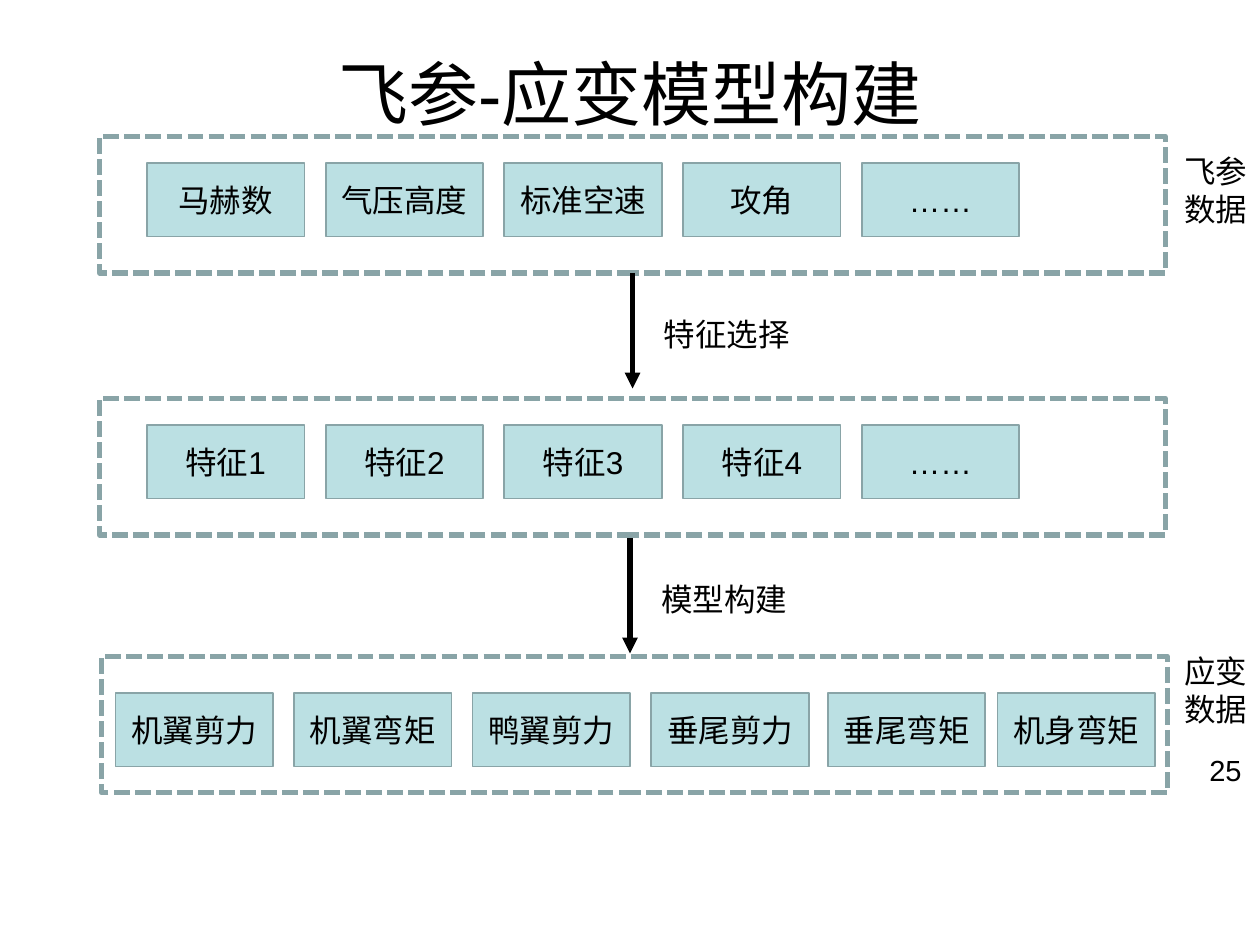
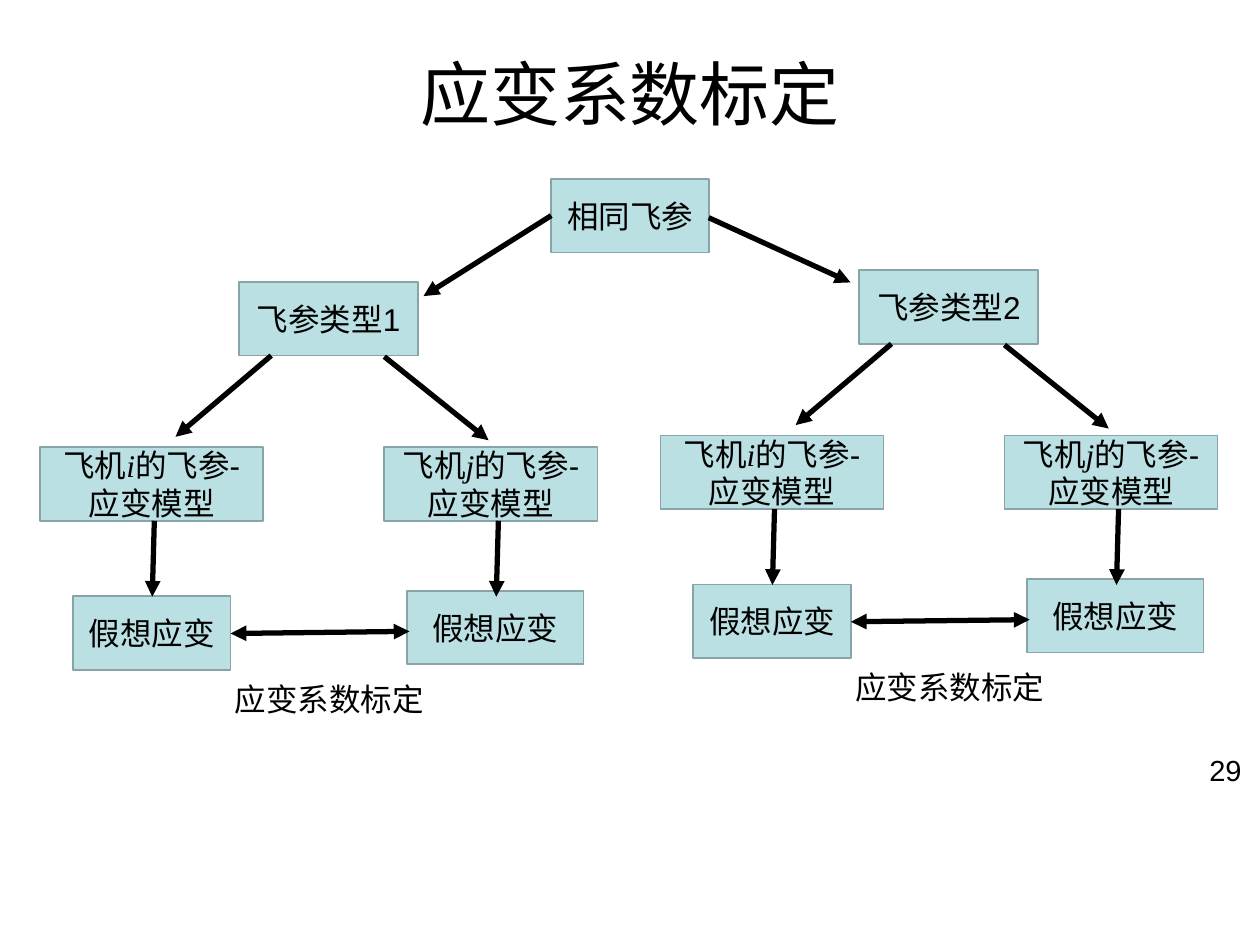
import pptx
import pptx.dml.color
import pptx.enum.dml
import pptx.enum.shapes
import pptx.enum.text
import pptx.oxml.ns
import pptx.util
from lxml import etree

Pt = pptx.util.Pt
RGBColor = pptx.dml.color.RGBColor
ALIGN = pptx.enum.text.PP_ALIGN
ANCHOR = pptx.enum.text.MSO_ANCHOR

# Shared style
BLACK = RGBColor(0x00, 0x00, 0x00)
BOX_FILL = RGBColor(0xBB, 0xE0, 0xE3)
BOX_LINE = RGBColor(0x89, 0xA4, 0xA7)
FONT = "Arial"
VARIABLE_FONT = "Times New Roman"
BOX_WIDTH, BOX_HEIGHT = 90, 42
FRAME_WIDTH, FRAME_HEIGHT = 609, 78


def add_run(paragraph, text, size=18, font=FONT, italic=False):
    run = paragraph.add_run()
    run.text = text
    run.font.size = Pt(size)
    run.font.name = font
    run.font.italic = italic
    run.font.color.rgb = BLACK


def add_titled_slide(presentation, title, number):
    slide = presentation.slides.add_slide(presentation.slide_layouts[5])
    shape = slide.shapes.title
    shape.left, shape.top, shape.width, shape.height = Pt(36), Pt(21.6), Pt(648), Pt(62.6)
    shape.text_frame.vertical_anchor = ANCHOR.MIDDLE
    paragraph = shape.text_frame.paragraphs[0]
    paragraph.alignment = ALIGN.CENTER
    add_run(paragraph, title, 40)
    add_label(slide, number, 684, 426.2, 36, 16.6)
    return slide


def add_label(slide, text, left, top, width, size=18, height=28.8):
    label = slide.shapes.add_textbox(Pt(left), Pt(top), Pt(width), Pt(height))
    label.text_frame.word_wrap = True
    add_run(label.text_frame.paragraphs[0], text, size)


def add_rectangle(slide, left, top, width, height, line_width):
    shape = slide.shapes.add_shape(
        pptx.enum.shapes.MSO_SHAPE.RECTANGLE, Pt(left), Pt(top), Pt(width), Pt(height))
    shape.shadow.inherit = False
    shape.line.color.rgb = BOX_LINE
    shape.line.width = Pt(line_width)
    return shape


def add_box(slide, text, left, top, width=BOX_WIDTH, variable="", ending=""):
    """Filled box; an italic variable and an ending may follow the text."""
    shape = add_rectangle(slide, left, top, width, BOX_HEIGHT, 1)
    shape.fill.solid()
    shape.fill.fore_color.rgb = BOX_FILL
    frame = shape.text_frame
    frame.word_wrap = True
    frame.vertical_anchor = ANCHOR.MIDDLE
    paragraph = frame.paragraphs[0]
    paragraph.alignment = ALIGN.CENTER
    add_run(paragraph, text)
    if variable:
        add_run(paragraph, variable, font=VARIABLE_FONT, italic=True)
        add_run(paragraph, ending)


def add_dashed_frame(slide, left, top):
    shape = add_rectangle(slide, left, top, FRAME_WIDTH, FRAME_HEIGHT, 3)
    shape.fill.background()
    shape.line.dash_style = pptx.enum.dml.MSO_LINE.SQUARE_DOT


def add_arrow(slide, start_x, start_y, end_x, end_y, double=False):
    arrow = slide.shapes.add_connector(
        pptx.enum.shapes.MSO_CONNECTOR.STRAIGHT,
        Pt(start_x), Pt(start_y), Pt(end_x), Pt(end_y))
    arrow.line.color.rgb = BLACK
    arrow.line.width = Pt(3)
    line = arrow.line._get_or_add_ln()
    for end in ("a:headEnd", "a:tailEnd") if double else ("a:tailEnd",):
        etree.SubElement(line, pptx.oxml.ns.qn(end), type="triangle")
    etree.SubElement(arrow._element.spPr, pptx.oxml.ns.qn("a:effectLst"))


def add_box_row(slide, texts, lefts, top):
    for text, left in zip(texts, lefts):
        add_box(slide, text, left, top)


def add_calibration_tree(slide, number, x, y):
    """One flight parameter type, its two aircraft models and their strains."""
    add_box(slide, f"飞参类型{number}", x + 136.6, y + 161.2, 102.4)
    add_arrow(slide, x + 155, y + 203.2, x + 100.3, y + 249.6)
    add_arrow(slide, x + 219.6, y + 203.8, x + 279.2, y + 251.6)
    branches = (("i", 23, 127.5, 41.8, 340.8, 90), ("j", 219.6, 121.8, 232.4, 337.6, 101))
    for aircraft, left, width, strain_left, strain_top, strain_width in branches:
        add_box(slide, "飞机", x + left, y + 255.6, width, aircraft, "的飞参-应变模型")
        add_box(slide, "假想应变", x + strain_left, y + strain_top, strain_width)
        add_arrow(slide, x + left + 65.2, y + 297.6, x + left + 64, y + 341)
    add_arrow(slide, x + 131.8, y + 362, x + 234, y + 360.8, double=True)
    add_label(slide, "应变系数标定", x + 127.2, y + 385, 138.2)


def build_model_slide(presentation):
    slide = add_titled_slide(presentation, "飞参-应变模型构建", "25")
    even_lefts = [84 + 102.1 * column for column in range(5)]
    strain_lefts = (66, 168, 270, 372.2, 473, 570)

    # Data rows
    add_box_row(slide, ("马赫数", "气压高度", "标准空速", "攻角", "……"), even_lefts, 93.2)
    add_box_row(slide, ("特征1", "特征2", "特征3", "特征4", "……"), even_lefts, 242.9)
    add_box_row(slide, ("机翼剪力", "机翼弯矩", "鸭翼剪力", "垂尾剪力", "垂尾弯矩", "机身弯矩"),
                strain_lefts, 396)
    for left, top in ((57, 78), (57, 227.7), (58, 375)):
        add_dashed_frame(slide, left, top)
    for text, top in (("飞参数据", 83.6), ("应变数据", 369.2)):
        add_label(slide, text, 669.6, top, 56.2, height=50.4)

    # Steps between the rows
    for text, x, top in (("特征选择", 361.5, 156), ("模型构建", 360, 307.4)):
        add_arrow(slide, x, top, x, top + 66)
        add_label(slide, text, x + 10.8, top + 20.6, 121)


def build_calibration_slide(presentation):
    slide = add_titled_slide(presentation, "应变系数标定", "29")
    add_box(slide, "相同飞参", 315, 102.4)
    add_calibration_tree(slide, 1, 0, 0)
    add_calibration_tree(slide, 2, 354.4, -6.7)
    add_arrow(slide, 315, 123.2, 242, 169.2)
    add_arrow(slide, 405, 124.4, 486, 161.4)


def main():
    presentation = pptx.Presentation()
    presentation.slide_width, presentation.slide_height = Pt(720), Pt(540)
    build_model_slide(presentation)
    build_calibration_slide(presentation)
    presentation.save("out.pptx")


if __name__ == "__main__":
    main()
